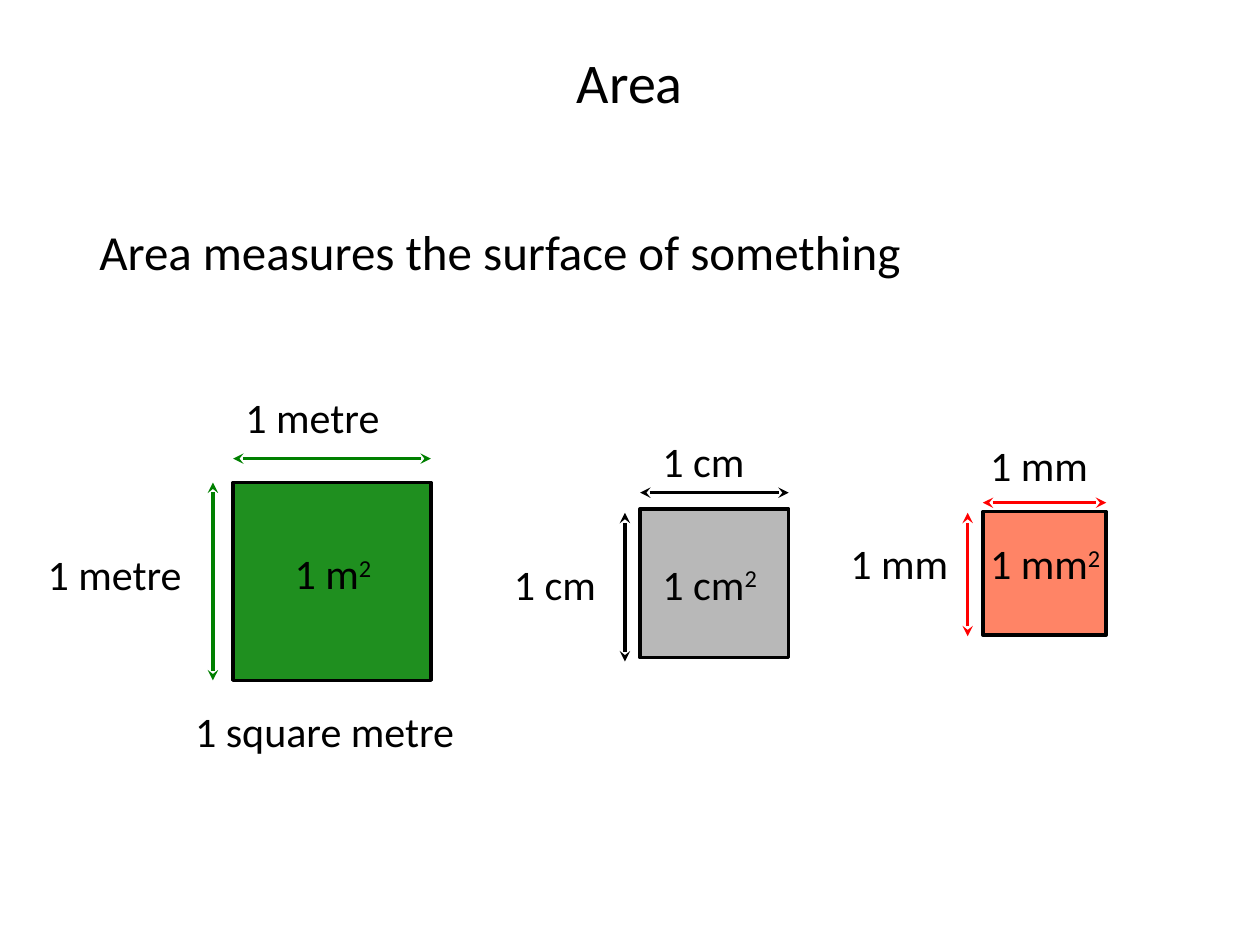
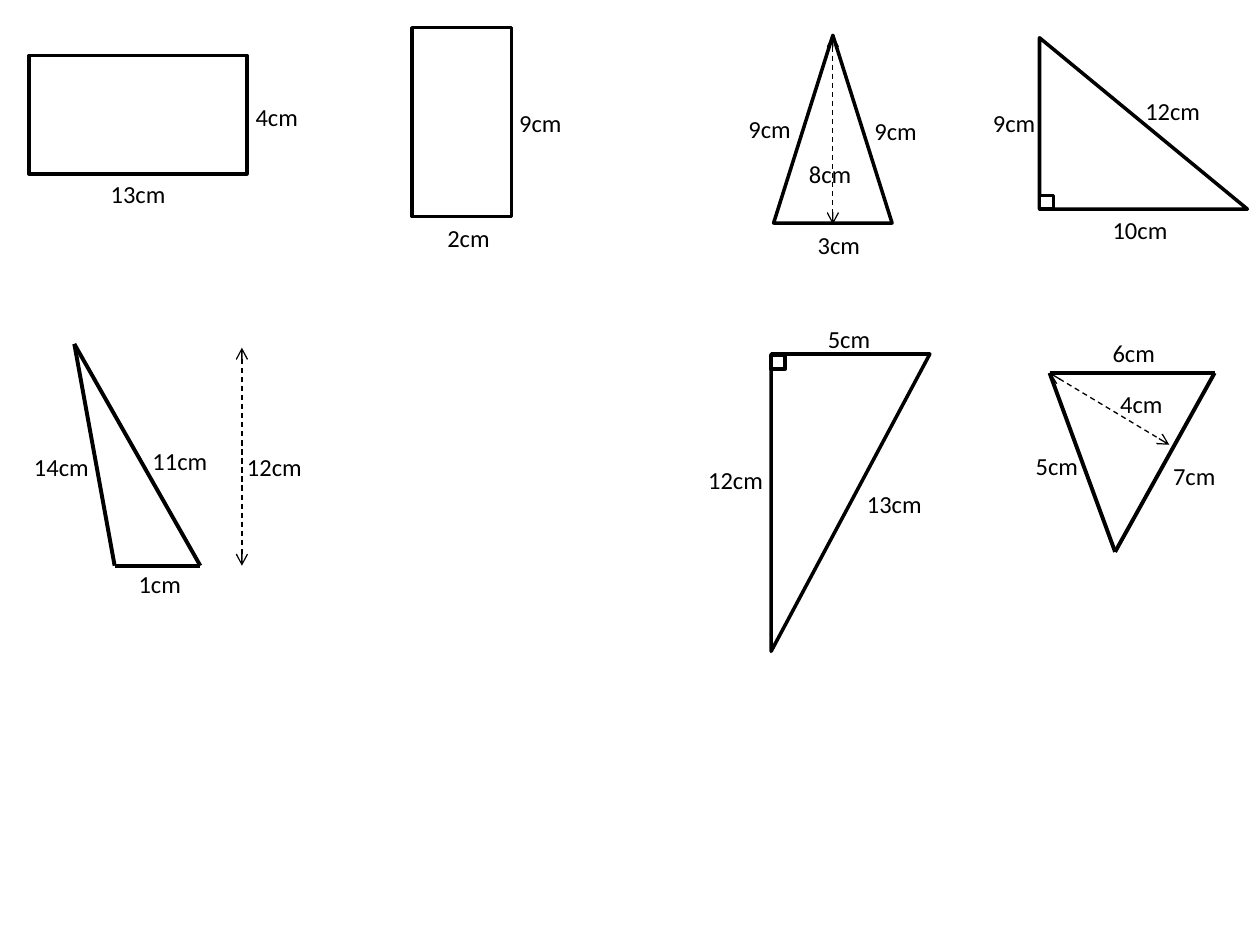
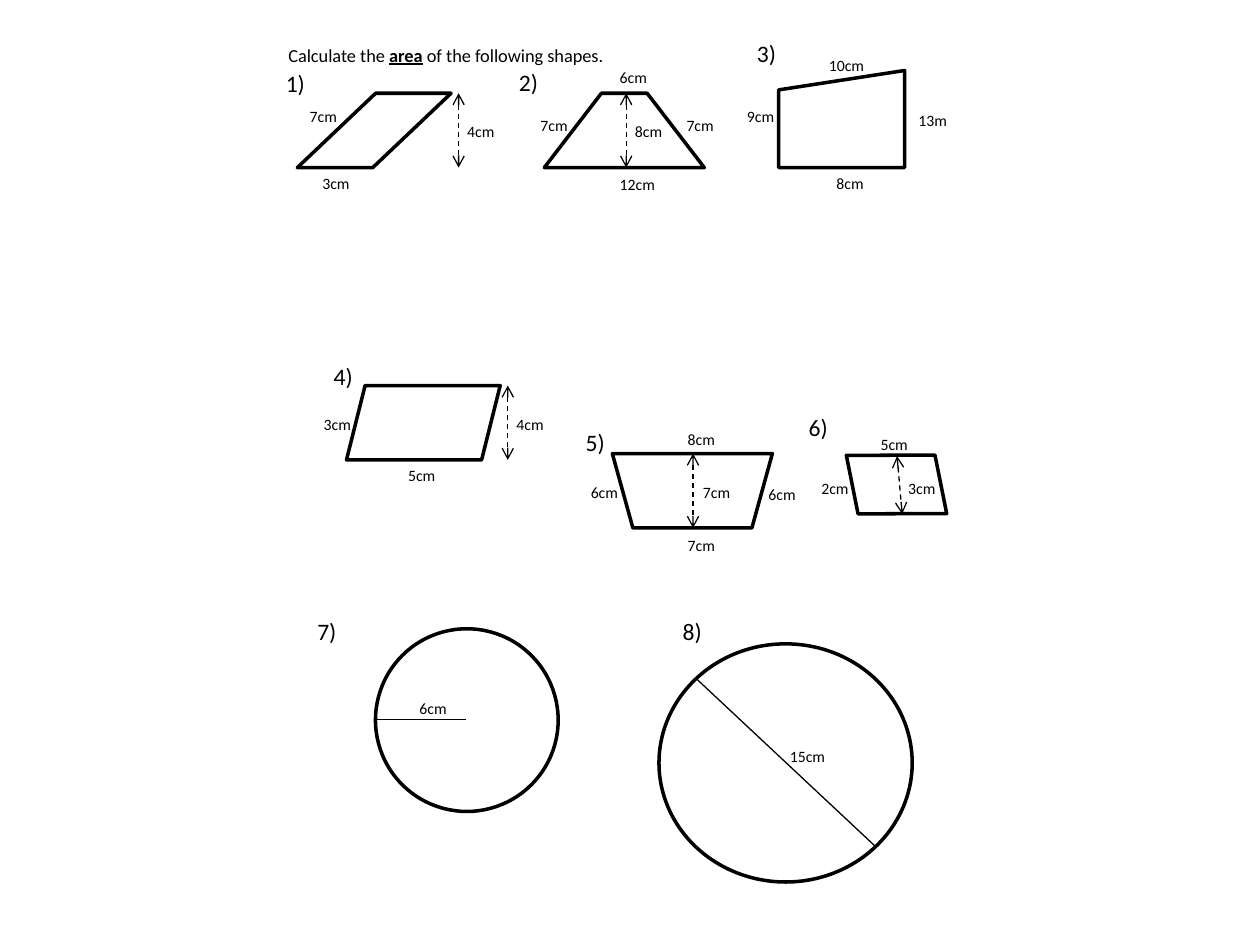
from dataclasses import dataclass

from lxml import etree
from pptx import Presentation
from pptx import util as u
from pptx.dml.color import RGBColor
from pptx.enum import dml, shapes, text
from pptx.oxml import ns


@dataclass(frozen=True)
class Theme:
    font: str = "Calibri"
    black: str = "000000"
    white: str = "FFFFFF"
    green: str = "008000"
    orange: str = "FF3300"
    red: str = "FF0000"
    title: float = 32
    body: float = 28
    unit: float = 24
    measure: float = 14
    number: float = 13.5
    task: float = 10.5
    small: float = 9
    outline: float = 2
    side: float = 2.25
    thin: float = 0.75


T = Theme()
G = shapes.MSO_SHAPE


class Deck:
    def __init__(self):
        self.prs = Presentation()
        self.prs.slide_width = u.Inches(10)
        self.prs.slide_height = u.Inches(7.5)
        self.s = None

    def blank_slide(self):
        self.s = self.prs.slides.add_slide(self.prs.slide_layouts[6])

    def title_slide(self, words):
        self.s = self.prs.slides.add_slide(self.prs.slide_layouts[5])
        sp = self.s.shapes.title
        sp.left, sp.top = u.Inches(0), u.Inches(0.02)
        sp.width, sp.height = u.Inches(10), u.Inches(1.25)
        tf = sp.text_frame
        tf.vertical_anchor = text.MSO_ANCHOR.MIDDLE
        p = tf.paragraphs[0]
        p.alignment = text.PP_ALIGN.CENTER
        self.run(p, words, T.title)

    def run(self, p, words, size, strong=False, raised=False):
        r = p.add_run()
        r.text = words
        r.font.name = T.font
        r.font.size = u.Pt(size)
        r.font.color.rgb = RGBColor.from_string(T.black)
        if strong:
            r.font.bold = r.font.underline = True
        if raised:
            r._r.get_or_add_rPr().set("baseline", "30000")

    def label(self, x, y, w, words, size, inset=0.1, h=None):
        grows = h is None
        h = h or round(size * 1.22 / 72 + 0.1, 2)
        sp = self.s.shapes.add_textbox(u.Inches(x), u.Inches(y), u.Inches(w), u.Inches(h))
        tf = sp.text_frame
        tf.word_wrap = True
        tf.margin_left = u.Inches(inset)
        if grows:
            tf.auto_size = text.MSO_AUTO_SIZE.SHAPE_TO_FIT_TEXT
        p = tf.paragraphs[0]
        if words:
            self.run(p, words, size)
        return p

    def shape(self, kind, x, y, w, h, fill=T.white, alpha=None, turn=0, adj=None):
        sp = self.s.shapes.add_shape(kind, u.Inches(x), u.Inches(y), u.Inches(w), u.Inches(h))
        sp.shadow.inherit = False
        sp.rotation = turn
        if adj is not None:
            sp.adjustments[0] = adj
        sp.fill.solid()
        sp.fill.fore_color.rgb = RGBColor.from_string(fill)
        sp.line.color.rgb = RGBColor.from_string(T.black)
        sp.line.width = u.Pt(T.outline)
        if alpha is not None:
            color = sp._element.spPr.find(ns.qn("a:solidFill"))[0]
            etree.SubElement(color, ns.qn("a:alpha")).set("val", str(alpha * 1000))

    def line(self, start, end, width, color=T.black, dashed=False, arrows=None):
        ends = [u.Inches(v) for v in (*start, *end)]
        c = self.s.shapes.add_connector(shapes.MSO_CONNECTOR.STRAIGHT, *ends)
        c.line.color.rgb = RGBColor.from_string(color)
        c.line.width = u.Pt(width)
        if dashed:
            c.line.dash_style = dml.MSO_LINE.DASH
        props = c._element.spPr
        if arrows:
            ln = props.find(ns.qn("a:ln"))
            for tag in ("a:headEnd", "a:tailEnd"):
                etree.SubElement(ln, ns.qn(tag)).set("type", arrows)
        etree.SubElement(props, ns.qn("a:effectLst"))

    def height_arrow(self, start, end):
        self.line(start, end, T.thin, dashed=True, arrows="arrow")

    def triangle(self, a, b, c):
        for start, end in ((a, b), (a, c), (b, c)):
            self.line(start, end, T.side)

    def unit_square(self, unit, x, y, size, fill, alpha, color, across_y, down, top, left, area):
        self.shape(G.RECTANGLE, x, y, size, size, fill, alpha)
        down_x, down_y = down
        self.line((x, across_y), (x + size, across_y), T.outline, color, arrows="stealth")
        self.line((down_x, down_y + size), (down_x, down_y), T.outline, color, arrows="stealth")
        for at in (top, left):
            self.label(*at, 1.57, f"1 {unit}", T.unit)
        p = self.label(*area, 1.1, "", T.unit, h=0.64)
        self.run(p, "1 " + ("m" if unit == "metre" else unit), T.unit)
        self.run(p, "2", T.unit, raised=True)


def area_slide(d):
    d.title_slide("Area")
    d.label(0.69, 1.71, 7.24, "Area measures the surface of something", T.body, h=0.64)
    d.unit_square("metre", 1.85, 3.83, 1.57, T.green, 88, T.green, 3.64, (1.69, 3.83),
                  (1.85, 3.06), (0.28, 4.3), (2.24, 4.3))
    d.label(1.45, 5.55, 2.76, "1 square metre", T.unit, h=0.64)
    d.unit_square("cm", 5.08, 4.04, 1.18, T.black, 28, T.black, 3.91, (4.96, 4.07),
                  (5.16, 3.41), (3.98, 4.38), (5.16, 4.38))
    d.unit_square("mm", 7.8, 4.06, 0.98, T.orange, 60, T.red, 3.99, (7.68, 4.07),
                  (7.76, 3.44), (6.65, 4.22), (7.76, 4.22))


def triangles_slide(d):
    d.blank_slide()
    d.shape(G.RECTANGLE, 0.23, 0.44, 1.73, 0.94)
    d.shape(G.RECTANGLE, 3.27, 0.22, 0.79, 1.5)
    d.shape(G.ISOSCELES_TRIANGLE, 6.14, 0.28, 0.94, 1.49)
    d.shape(G.RIGHT_TRIANGLE, 8.25, 0.3, 1.65, 1.36)
    d.shape(G.RIGHT_TRIANGLE, 5.57, 3.36, 2.36, 1.26, turn=90)
    for x, y in ((8.25, 1.55), (6.12, 2.82)):
        d.shape(G.RECTANGLE, x, y, 0.11, 0.11)

    d.triangle((0.59, 2.73), (0.91, 4.49), (1.59, 4.49))
    d.triangle((8.33, 2.96), (9.64, 2.96), (8.85, 4.38))
    for start, end in (((6.61, 0.28), (6.61, 1.78)),
                       ((1.92, 2.76), (1.92, 4.49)),
                       ((8.33, 2.96), (9.28, 3.53))):
        d.height_arrow(start, end)

    for x, y, words in ((0.78, 1.37, "13cm"), (1.93, 0.76, "4cm")):
        d.label(x, y, 0.87, words, T.measure)
    for x, y, words in (
        (3.36, 1.72, "2cm"), (3.93, 0.81, "9cm"),
        (6.3, 1.78, "3cm"), (6.75, 0.87, "9cm"), (6.23, 1.21, "8cm"), (5.75, 0.86, "9cm"),
        (8.64, 1.66, "10cm"), (7.69, 0.81, "9cm"), (8.9, 0.71, "12cm"),
        (6.38, 2.52, "5cm"), (5.43, 3.64, "12cm"), (6.69, 3.83, "13cm"),
        (0.91, 4.47, "1cm"), (1.02, 3.49, "11cm"), (0.08, 3.54, "14cm"), (1.77, 3.54, "12cm"),
        (9.12, 3.61, "7cm"), (8.03, 3.53, "5cm"), (8.64, 2.63, "6cm"), (8.7, 3.04, "4cm"),
    ):
        d.label(x, y, 0.87, words, T.measure, inset=0.19)


def exercise_slide(d):
    d.blank_slide()
    p = d.label(2.19, 0.3, 3.11, "Calculate the ", T.task)
    d.run(p, "area", T.task, strong=True)
    d.run(p, " of the following shapes.", T.task)

    d.shape(G.PARALLELOGRAM, 2.36, 0.74, 1.22, 0.59, adj=1.053)
    d.shape(G.TRAPEZOID, 4.32, 0.74, 1.27, 0.59, adj=0.768)
    d.shape(G.FLOWCHART_MANUAL_INPUT, 6.18, 0.56, 1, 0.77)
    d.shape(G.PARALLELOGRAM, 2.75, 3.06, 1.22, 0.59)
    d.shape(G.TRAPEZOID, 4.86, 3.6, 1.27, 0.59, turn=180, adj=0.276)
    d.shape(G.PARALLELOGRAM, 6.81, 3.5, 0.61, 0.69, turn=258.7, adj=0.224)
    d.shape(G.OVAL, 2.98, 4.99, 1.45, 1.45)
    d.shape(G.OVAL, 5.23, 5.11, 2.01, 1.89)

    for x, y in ((3.64, 0.74), (4.97, 0.74), (4.03, 3.06), (5.5, 3.6)):
        d.height_arrow((x, y), (x, y + 0.59))
    d.height_arrow((7.12, 3.62), (7.16, 4.08))
    d.line((2.98, 5.71), (3.7, 5.71), T.thin)
    d.line((5.53, 5.39), (6.95, 6.72), T.thin)

    number_places = ((2.17, 0.5), (4.02, 0.49), (5.91, 0.26), (2.55, 2.82),
                     (4.55, 3.35), (6.32, 3.23), (2.42, 4.85), (5.32, 4.85))
    for n, (x, y) in enumerate(number_places, 1):
        d.label(x, y, 0.57, f"{n})", T.number)
    for x, y, words in (
        (2.46, 1.33, "3cm"), (3.61, 0.92, "4cm"), (2.36, 0.8, "7cm"),
        (4.19, 0.87, "7cm"), (5.35, 0.87, "7cm"), (4.82, 1.34, "12cm"),
        (4.82, 0.49, "6cm"), (4.94, 0.92, "8cm"),
        (5.83, 0.8, "9cm"), (6.54, 1.33, "8cm"), (6.48, 0.39, "10cm"), (7.19, 0.83, "13m"),
        (3.14, 3.65, "5cm"), (4, 3.24, "4cm"), (2.47, 3.24, "3cm"),
        (4.59, 3.78, "6cm"), (6, 3.8, "6cm"), (5.36, 4.2, "7cm"),
        (5.36, 3.36, "8cm"), (5.48, 3.78, "7cm"),
        (6.42, 3.75, "2cm"), (6.89, 3.4, "5cm"), (7.11, 3.75, "3cm"),
        (3.23, 5.5, "6cm"), (6.17, 5.88, "15cm"),
    ):
        d.label(x, y, 0.71, words, T.small)


def main():
    d = Deck()
    area_slide(d)
    triangles_slide(d)
    exercise_slide(d)
    d.prs.save("out.pptx")


if __name__ == "__main__":
    main()
